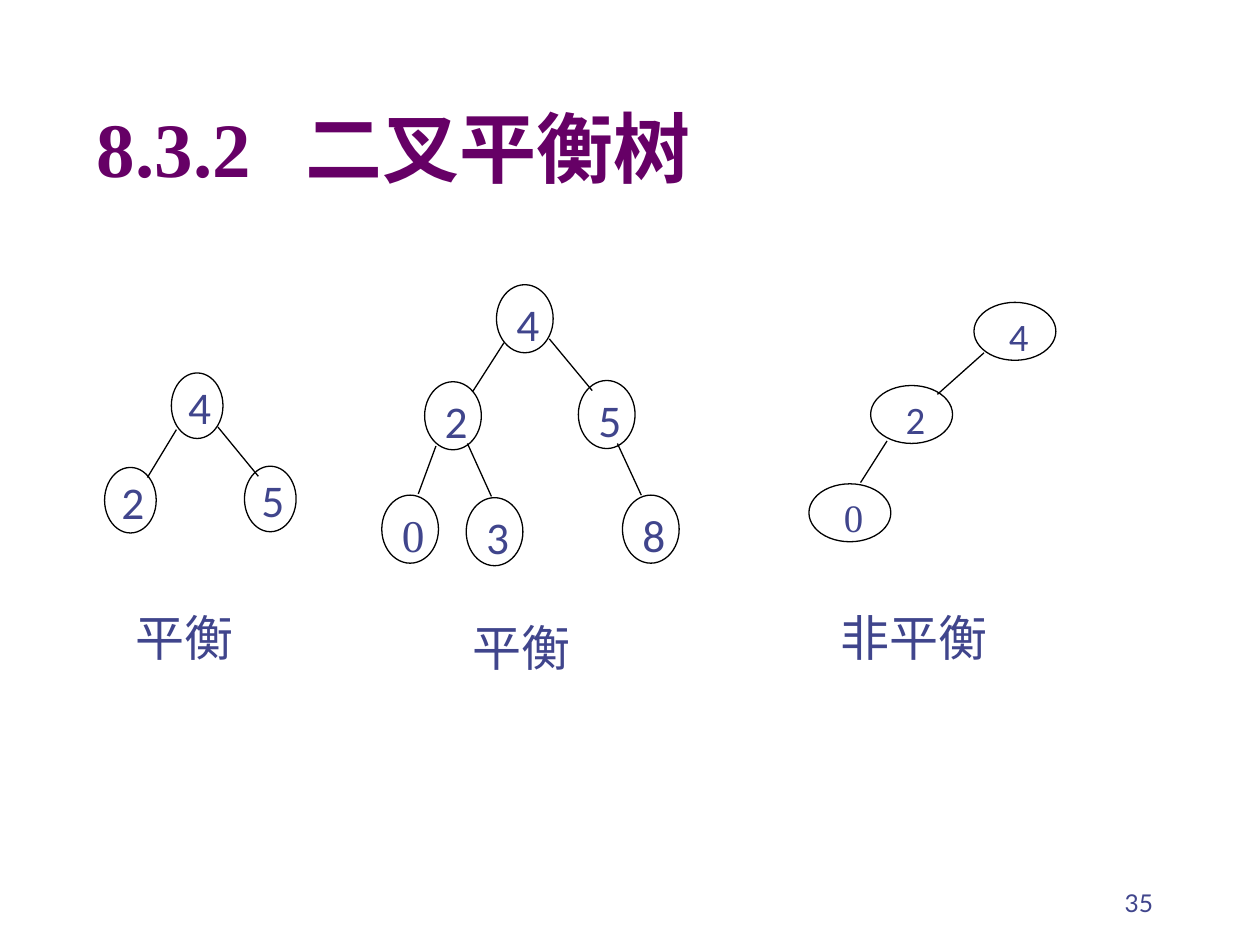
from dataclasses import dataclass

from lxml.etree import SubElement
from pptx import Presentation
from pptx.dml.color import RGBColor
from pptx.enum.shapes import MSO_CONNECTOR as Connector, MSO_SHAPE as Preset
from pptx.enum.text import MSO_ANCHOR as Anchor, PP_ALIGN as Align
from pptx.oxml.ns import qn
from pptx.util import Inches, Pt

SLIDE_WIDTH, SLIDE_HEIGHT = Inches(10), Inches(7.5)
COLUMN, ROW = SLIDE_WIDTH / 100, SLIDE_HEIGHT / 75


@dataclass(frozen=True)
class Theme:
    title_color = RGBColor(0x66, 0x00, 0x66)
    text_color = RGBColor(0x40, 0x45, 0x8C)
    line_color = RGBColor(0, 0, 0)
    line_width = Pt(0.75)
    serif, key_font, number_font = "Times New Roman", "Calibri", "Lato"
    title_size, caption_size, number_size = Pt(44), Pt(28), Pt(14)
    key_size, small_key_size = Pt(25.9), Pt(22.2)


THEME = Theme()
CAPTION = dict(name=THEME.serif, size=THEME.caption_size)
KEY_MARGINS = dict(margin_left=0, margin_top=0, margin_right=0,
                   margin_bottom=Inches(0.04))

# Positions are (column, row); key_box is the offset and size of a key's text.
SMALL_BALANCED = dict(
    node_size=(4.1, 5.2), key_box=(0.5, -0.8, 3.5, 6.1),
    key_size=THEME.key_size, spacing=1.3,
    nodes=[("4", 13.6, 29.6), ("2", 8.3, 37.1), ("5", 19.4, 37)],
    edges=[(14, 34.1, 11.7, 37.9), (17.3, 33.9, 20.5, 37.8)])
LARGE_BALANCED = dict(
    node_size=(4.5, 5.4), key_box=(0.6, -0.8, 3.8, 6.3),
    key_size=THEME.key_size, spacing=1.4,
    nodes=[("4", 39.4, 22.6), ("2", 33.7, 30.3), ("5", 45.9, 30.2),
           ("0", 30.3, 39.3), ("3", 37, 39.5), ("8", 49.4, 39.3)],
    edges=[(40, 27.2, 37.5, 31.1), (43.6, 26.9, 47, 31),
           (34.6, 35.4, 33.2, 39.2), (37.1, 35.2, 39, 39.4),
           (49, 35.2, 50.9, 39.3)])
UNBALANCED = dict(
    node_size=(6.5, 4.6), key_box=(0.8, -0.7, 5.5, 5.4),
    key_size=THEME.small_key_size, spacing=1.4,
    nodes=[("4", 77.3, 24), ("2", 69.1, 30.6), ("0", 64.2, 38.4)],
    edges=[(78.1, 28, 74.4, 31.3), (70.4, 35, 68.3, 38.3)])


def on_grid(column, row, *more):
    """Turn alternating columns and rows into slide lengths."""
    values = (column, row, *more)
    return [round(value * (ROW if index % 2 else COLUMN))
            for index, value in enumerate(values)]


def apply_format(target, values):
    for attribute, value in values.items():
        setattr(target, attribute, value)


def add_text(shapes, text, area, font, color=THEME.text_color, frame=None,
             paragraph=None, tab_stop=None):
    text_frame = shapes.add_textbox(*on_grid(*area)).text_frame
    apply_format(text_frame, dict(word_wrap=True) | (frame or {}))
    line = text_frame.paragraphs[0]
    if tab_stop:
        tabs = SubElement(line._p.get_or_add_pPr(), qn("a:tabLst"))
        SubElement(tabs, qn("a:tab"), pos=str(tab_stop), algn="l")
    apply_format(line, paragraph or {})
    run = line.add_run()
    run.text = text
    apply_format(run.font, font)
    run.font.color.rgb = color


def draw_line(line):
    line.color.rgb = THEME.line_color
    line.width = THEME.line_width


def add_node(shapes, key, column, row, tree):
    left, top, width, height = tree["key_box"]
    add_text(shapes, key, (column + left, row + top, width, height),
             font=dict(name=THEME.serif if key == "0" else THEME.key_font,
                       size=tree["key_size"]),
             frame=KEY_MARGINS,
             paragraph=dict(alignment=Align.CENTER,
                            line_spacing=tree["spacing"]))
    node = shapes.add_shape(Preset.OVAL,
                            *on_grid(column, row, *tree["node_size"]))
    node.shadow.inherit = False
    node.fill.background()
    draw_line(node.line)


def add_edge(shapes, ends):
    edge = shapes.add_connector(Connector.STRAIGHT, *on_grid(*ends))
    draw_line(edge.line)
    SubElement(edge._element.spPr, qn("a:effectLst"))


def add_tree(slide, tree):
    shapes = slide.shapes.add_group_shape().shapes
    for key, column, row in tree["nodes"]:
        add_node(shapes, key, column, row, tree)
    for ends in tree["edges"]:
        add_edge(shapes, ends)


def main():
    deck = Presentation()
    deck.slide_width, deck.slide_height = SLIDE_WIDTH, SLIDE_HEIGHT
    slide = deck.slides.add_slide(deck.slide_layouts[6])

    add_text(slide.shapes, "8.3.2\t二叉平衡树", (6.7, 3.3, 85, 12.5),
             font=dict(name=THEME.serif, size=THEME.title_size, bold=True),
             color=THEME.title_color,
             frame=dict(vertical_anchor=Anchor.BOTTOM),
             tab_stop=Inches(1.66))
    add_text(slide.shapes, "35", (71.7, 68.3, 20.8, 5),
             font=dict(name=THEME.number_font, size=THEME.number_size),
             frame=dict(vertical_anchor=Anchor.BOTTOM),
             paragraph=dict(alignment=Align.RIGHT))

    for tree in (SMALL_BALANCED, LARGE_BALANCED, UNBALANCED):
        add_tree(slide, tree)

    for caption, area, alignment in (
            ("平衡", (9.8, 47.7, 11, 5.7), Align.LEFT),
            ("平衡", (34.3, 48.5, 14.2, 5.7), Align.CENTER),
            ("非平衡", (65.7, 47.7, 14.2, 5.7), Align.LEFT)):
        add_text(slide.shapes, caption, area, font=CAPTION,
                 paragraph=dict(alignment=alignment))

    deck.save("out.pptx")


if __name__ == "__main__":
    main()
